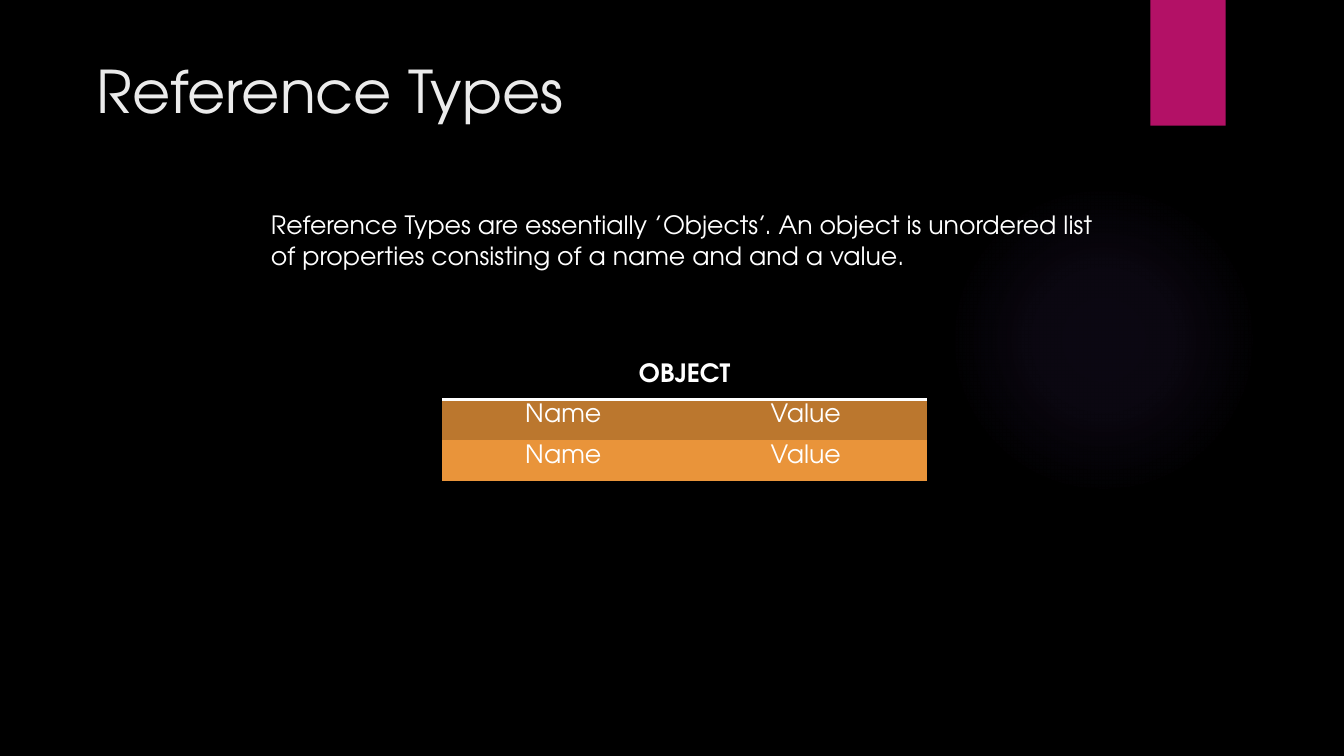
from lxml import etree
from pptx import Presentation
from pptx import oxml
from pptx import util as u
from pptx.dml import color
from pptx.enum import shapes, text
from pptx.oxml import ns

COLORS = {
    "background": "000000",
    "glow": "9B6BF2",
    "ribbon": "B31166",
    "title": "EBEBEB",
    "text": "FFFFFF",
    "dark_row": "BB772E",
    "light_row": "E9943A",
}
FONT = "TeX Gyre Adventor"
NO_STYLE = "{2D5ABB26-0587-4C30-8999-92F81FD0307C}"


def rgb(name):
    return color.RGBColor.from_string(COLORS[name])


def write(frame, content, size=18, fill="text", bold=False, align=text.PP_ALIGN.LEFT):
    frame.word_wrap = True
    paragraph = frame.paragraphs[0]
    paragraph.alignment = align
    run = paragraph.add_run()
    run.text = content
    run.font.name = FONT
    run.font.size = u.Pt(size)
    run.font.bold = bold
    run.font.color.rgb = rgb(fill)


presentation = Presentation()
presentation.slide_width = u.Cm(33.87)
presentation.slide_height = u.Cm(19.05)
slide = presentation.slides.add_slide(presentation.slide_layouts[5])
slide.background.fill.solid()
slide.background.fill.fore_color.rgb = rgb("background")

glow = slide.shapes.add_shape(
    shapes.MSO_SHAPE.OVAL, u.Cm(23.9), u.Cm(4.65), u.Cm(7.82), u.Cm(7.82)
)
glow.shadow.inherit = False
glow.line.fill.background()
stops = "".join(
    f'<a:gs pos="{position * 1000}"><a:srgbClr val="{COLORS["glow"]}">'
    f'<a:alpha val="{alpha * 1000}"/></a:srgbClr></a:gs>'
    for position, alpha in [(0, 7), (36, 6), (69, 0), (100, 0)]
)
gradient = oxml.parse_xml(
    f'<a:gradFill {ns.nsdecls("a")}><a:gsLst>{stops}</a:gsLst><a:path path="circle">'
    '<a:fillToRect l="50000" t="50000" r="50000" b="50000"/></a:path></a:gradFill>'
)
glow.element.spPr.find(ns.qn("a:prstGeom")).addnext(gradient)

ribbon = slide.shapes.add_shape(
    shapes.MSO_SHAPE.RECTANGLE, u.Cm(28.99), u.Cm(0), u.Cm(1.9), u.Cm(3.17)
)
ribbon.shadow.inherit = False
ribbon.line.fill.background()
ribbon.fill.solid()
ribbon.fill.fore_color.rgb = rgb("ribbon")

title = slide.shapes.title
title.left, title.top = u.Cm(1.8), u.Cm(1.25)
title.width, title.height = u.Cm(26.14), u.Cm(3.89)
title.text_frame.vertical_anchor = text.MSO_ANCHOR.TOP
title.text_frame.auto_size = text.MSO_AUTO_SIZE.NONE
title.text_frame.margin_left = u.Cm(0.63)
write(title.text_frame, "Reference Types", size=42, fill="title")

description = slide.shapes.add_textbox(u.Cm(6.58), u.Cm(5.16), u.Cm(21.34), u.Cm(1.8))
write(
    description.text_frame,
    "Reference Types are essentially ’Objects’. An object is unordered list "
    "of properties consisting of a name and and a value.",
)

rows = [
    (["OBJECT"], "background"),
    (["Name", "Value"], "dark_row"),
    (["Name", "Value"], "light_row"),
]
table = slide.shapes.add_table(
    len(rows), 2, u.Cm(11.14), u.Cm(9.03), u.Cm(12.22), u.Cm(3.09)
).table
table._tbl.tblPr.find(ns.qn("a:tableStyleId")).text = NO_STYLE
table.horz_banding = False
table.cell(0, 0).merge(table.cell(0, 1))

for row_index, (labels, fill) in enumerate(rows):
    for cell in table.rows[row_index].cells:
        if row_index == 0:
            border = etree.SubElement(
                cell._tc.get_or_add_tcPr(), ns.qn("a:lnB"), w=str(u.Pt(2.5))
            )
            solid = etree.SubElement(border, ns.qn("a:solidFill"))
            etree.SubElement(solid, ns.qn("a:srgbClr"), val=COLORS["text"])
        cell.fill.solid()
        cell.fill.fore_color.rgb = rgb(fill)
    for column_index, label in enumerate(labels):
        write(
            table.cell(row_index, column_index).text_frame,
            label,
            bold=row_index == 0,
            align=text.PP_ALIGN.CENTER,
        )

presentation.save("out.pptx")
